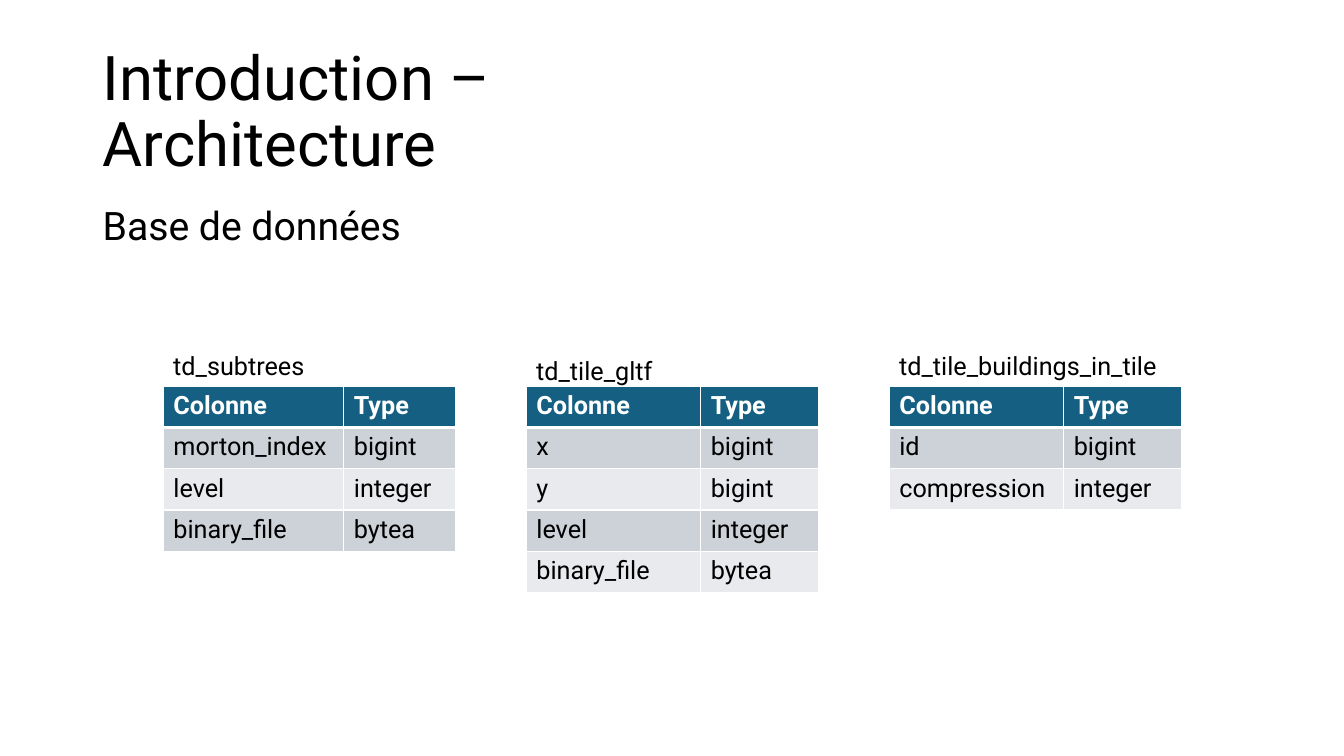
from lxml.etree import SubElement
from pptx import Presentation
from pptx.dml.color import RGBColor
from pptx.enum.text import MSO_ANCHOR
from pptx.oxml.ns import qn
from pptx.util import Inches, Pt

FONT = "Roboto"
BLACK, WHITE, HEADER = "000000", "FFFFFF", "156082"
BANDS = ("CCD2D8", "E8EAED")
TABLE_TOP, TABLE_WIDTH, ROW_HEIGHT = 3.83, 2.9, 0.41
FIRST_LEFT, TABLE_STEP = 1.62, 3.6

# Name, label top, label width, first column width, rows
TABLES = [
    ("td_subtrees", 3.43, 2.26, 1.79,
     [("morton_index", "bigint"), ("level", "integer"), ("binary_file", "bytea")]),
    ("td_tile_gltf", 3.48, 2.26, 1.73,
     [("x", "bigint"), ("y", "bigint"), ("level", "integer"), ("binary_file", "bytea")]),
    ("td_tile_buildings_in_tile", 3.43, 2.9, 1.73,
     [("id", "bigint"), ("compression", "integer")]),
]


def rgb(value):
    return RGBColor.from_string(value)


def write(tf, text, size, color=BLACK, bold=False, **paragraph_format):
    p = tf.paragraphs[0]
    p.text = text
    for name, value in paragraph_format.items():
        setattr(p, name, value)
    for r in p.runs:
        font_format = {"name": FONT, "size": Pt(size), "bold": bold}
        for name, value in font_format.items():
            setattr(r.font, name, value)
        r.font.color.rgb = rgb(color)


def add_text(s, box, text, size, anchor=MSO_ANCHOR.TOP, **paragraph_format):
    tf = s.shapes.add_textbox(*map(Inches, box)).text_frame
    tf.word_wrap = True
    tf.vertical_anchor = anchor
    write(tf, text, size, **paragraph_format)


def set_borders(cell, top, bottom):
    tcPr = cell._tc.get_or_add_tcPr()
    for side, width in (("L", 1), ("R", 1), ("T", top), ("B", bottom)):
        ln = SubElement(tcPr, qn(f"a:ln{side}"), w=str(Pt(width)))
        fill = SubElement(ln, qn("a:solidFill"))
        SubElement(fill, qn("a:srgbClr"), val=WHITE)


def add_columns_table(s, left, first_width, rows):
    rows = [("Colonne", "Type"), *rows]
    frame = s.shapes.add_table(
        len(rows), 2, Inches(left), Inches(TABLE_TOP),
        Inches(TABLE_WIDTH), Inches(ROW_HEIGHT * len(rows)))
    table = frame.table
    for column, width in zip(table.columns, (first_width, TABLE_WIDTH - first_width)):
        column.width = Inches(width)
    for i, values in enumerate(rows):
        table.rows[i].height = Inches(ROW_HEIGHT)
        is_header = i == 0
        for j, value in enumerate(values):
            cell = table.cell(i, j)
            # The rule under the header is thicker
            set_borders(cell, 3 if i == 1 else 1, 3 if is_header else 1)
            cell.fill.solid()
            cell.fill.fore_color.rgb = rgb(HEADER if is_header else BANDS[(i - 1) % 2])
            write(cell.text_frame, value, 18, WHITE if is_header else BLACK, is_header)


def main():
    prs = Presentation()
    prs.slide_width, prs.slide_height = Inches(13.33), Inches(7.5)
    s = prs.slides.add_slide(prs.slide_layouts[6])

    # Title and subtitle
    add_text(s, (0.92, 0.4, 11.5, 1.45), "Introduction –\vArchitecture", 44,
             MSO_ANCHOR.MIDDLE, line_spacing=0.9)
    add_text(s, (0.92, 2, 11.5, 4.76), "Base de données", 28,
             line_spacing=0.9, space_before=Pt(10))

    # Database tables with their names above
    for i, (name, label_top, label_width, first_width, rows) in enumerate(TABLES):
        left = FIRST_LEFT + i * TABLE_STEP
        add_columns_table(s, left, first_width, rows)
        add_text(s, (left, label_top, label_width, 0.4), name, 18)

    prs.save("out.pptx")


if __name__ == "__main__":
    main()
